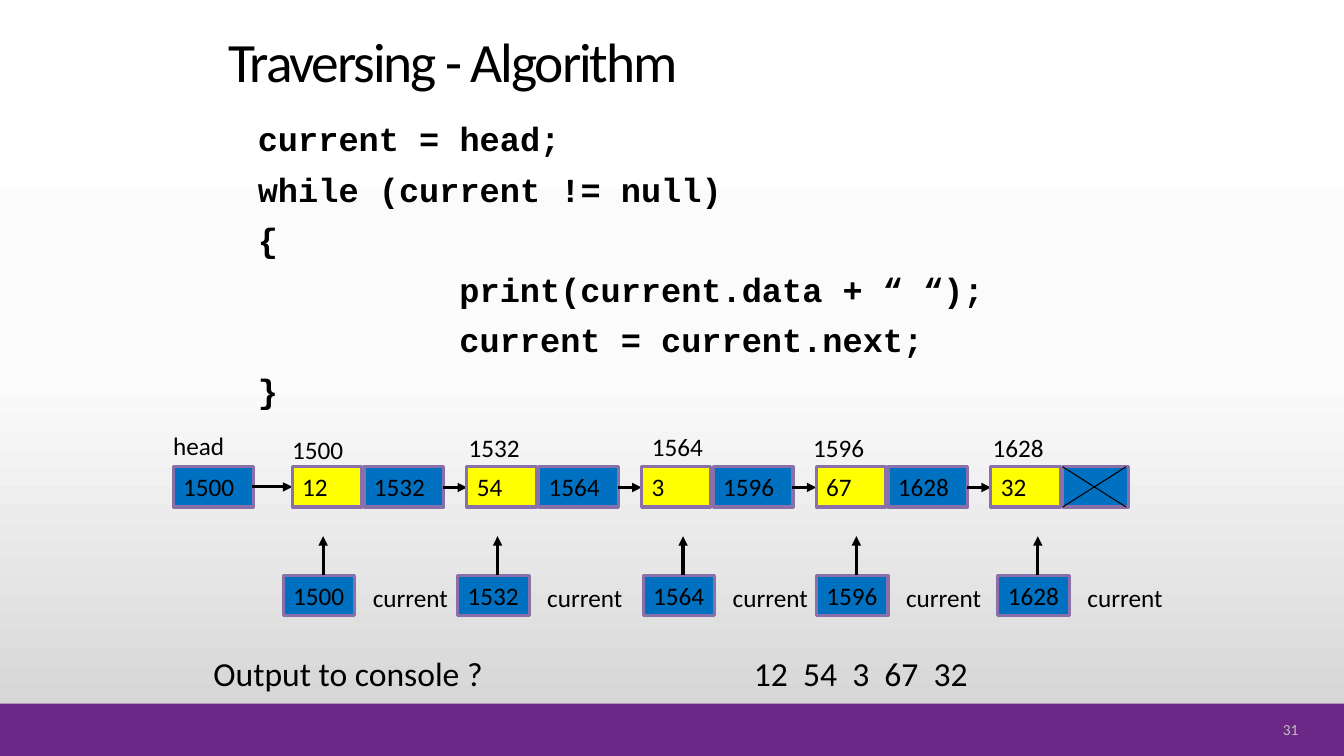
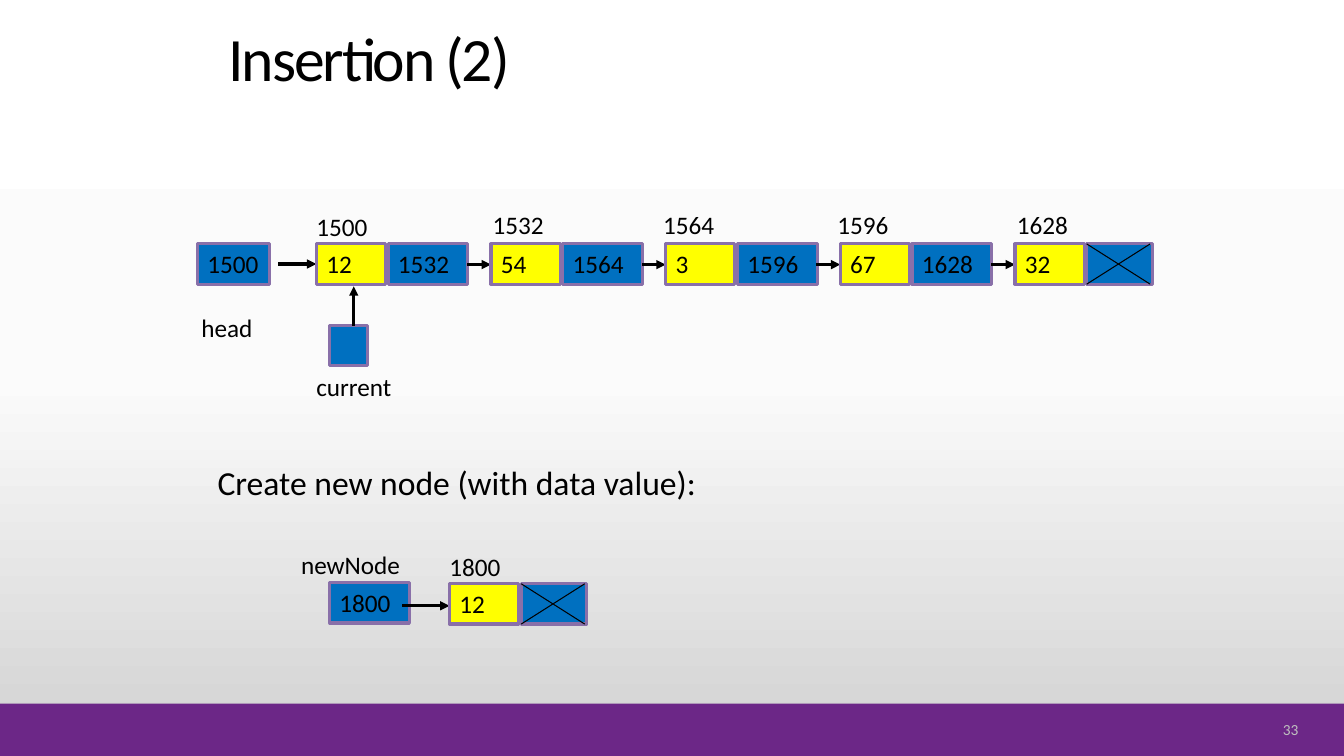
from copy import deepcopy
from dataclasses import dataclass

from lxml.etree import SubElement
from pptx import Presentation
from pptx.dml.color import RGBColor
from pptx.enum.shapes import MSO_CONNECTOR, MSO_SHAPE
from pptx.enum.text import MSO_ANCHOR, PP_ALIGN
from pptx.oxml.ns import qn
from pptx.util import Pt

PAGE_WIDTH, PAGE_HEIGHT = 960, 540
BLACK, GREY, PURPLE = "000000", "BFBFBF", "6C2787"
BLUE, YELLOW, BORDER = "0070C0", "FFFF00", "8970A9"
BACKGROUND_STOPS = ((0, "FFFFFF"), (0.5, "FBFBFB"), (1, "D1D1D1"))

CELL_HEIGHT = 28.8
DATA_WIDTH, LINK_WIDTH, END_WIDTH = 49.5, 57, 46.8
LINK_OFFSET = 51.2
NODE_PITCH = 124.75
ARROW_DROP = 14.8
POINTER_WIDTH = 51.2


@dataclass
class Node:
    address: str
    data: str
    label_left: float
    label_top: float


@dataclass
class Pointer:
    address: str
    left: float


def color(hex_text: str) -> RGBColor:
    return RGBColor.from_string(hex_text)


def write(box, text: str, *, size: float = 18, font: str = "Calibri",
          fill: str = BLACK, bold: bool = False, align=PP_ALIGN.LEFT,
          anchor=MSO_ANCHOR.TOP, spacing: float = 0, word_gap: float = 0,
          line_spacing: float = 1, space_before: float = 0,
          indents: tuple = (), right_inset: float = 0) -> None:
    """Fill a shape with one paragraph per line; word_gap widens its spaces."""
    frame = box.text_frame
    frame.word_wrap = True
    frame.vertical_anchor = anchor
    frame.margin_right = Pt(right_inset)
    for index, line in enumerate(text.split("\n")):
        para = frame.paragraphs[0] if index == 0 else frame.add_paragraph()
        para.alignment = align
        para.line_spacing = line_spacing
        para.space_before = Pt(space_before if index else 0)
        if indents:
            para._p.get_or_add_pPr().set("marL", str(Pt(indents[index])))
        pieces = line.replace(" ", "\n \n").split("\n") if word_gap else [line]
        for piece in pieces:
            span = para.add_run()
            span.text = piece
            span.font.size = Pt(size)
            span.font.name = font
            span.font.bold = bold
            span.font.color.rgb = color(fill)
            tracking = word_gap if piece == " " else spacing
            if tracking:
                span.font._element.set("spc", str(round(tracking * 100)))


def add_text(page, left: float, top: float, width: float, height: float,
             text: str, **style) -> None:
    box = page.shapes.add_textbox(Pt(left), Pt(top), Pt(width), Pt(height))
    write(box, text, **style)


def add_label(page, left: float, top: float, text: str) -> None:
    add_text(page, left, top, 86.4, CELL_HEIGHT, text)


def add_box(page, left: float, top: float, width: float, height: float,
            fill: str, border: str = "", text: str = "") -> None:
    box = page.shapes.add_shape(MSO_SHAPE.RECTANGLE, Pt(left), Pt(top),
                                Pt(width), Pt(height))
    box.shadow.inherit = False
    box.fill.solid()
    box.fill.fore_color.rgb = color(fill)
    if border:
        box.line.color.rgb = color(border)
        box.line.width = Pt(2.25)
    else:
        box.line.fill.background()
    if text:
        write(box, text)


def add_cell(page, left: float, top: float, width: float, text: str = "",
             fill: str = BLUE) -> None:
    add_box(page, left, top, width, CELL_HEIGHT, fill, BORDER, text)


def add_line(page, start: tuple[float, float], end: tuple[float, float],
             width: float = 2.25, arrow: bool = True) -> None:
    line = page.shapes.add_connector(MSO_CONNECTOR.STRAIGHT, Pt(start[0]),
                                     Pt(start[1]), Pt(end[0]), Pt(end[1]))
    line.line.color.rgb = color(BLACK)
    line.line.width = Pt(width)
    if arrow:
        SubElement(line.line._get_or_add_ln(), qn("a:tailEnd"), type="triangle")
    SubElement(line._element.spPr, qn("a:effectLst"))


def add_end_cell(page, left: float, top: float) -> None:
    """Draw the crossed-out link that ends a list."""
    add_cell(page, left, top, END_WIDTH)
    right, bottom = left + 45.4, top + CELL_HEIGHT
    add_line(page, (left, top), (right, bottom), 0.75, arrow=False)
    add_line(page, (right, top), (left, bottom), 0.75, arrow=False)


def add_linked_list(page, left: float, top: float, nodes: list[Node]) -> None:
    for index, node in enumerate(nodes):
        node_left = left + index * NODE_PITCH
        link_left = node_left + LINK_OFFSET
        add_cell(page, node_left, top, DATA_WIDTH, node.data, YELLOW)
        add_label(page, node.label_left, node.label_top, node.address)
        if index + 1 == len(nodes):
            add_end_cell(page, link_left, top)
        else:
            add_cell(page, link_left, top, LINK_WIDTH, nodes[index + 1].address)
            arrow_y = top + ARROW_DROP
            add_line(page, (link_left + LINK_WIDTH - 0.5, arrow_y),
                     (node_left + NODE_PITCH, arrow_y))


def add_pointer(page, pointer: Pointer) -> None:
    """Draw a current box with its upward arrow and its name."""
    top = 411
    arrow_x = pointer.left + 28.5
    add_cell(page, pointer.left, top, POINTER_WIDTH, pointer.address)
    add_line(page, (arrow_x, top), (arrow_x, 383))
    add_label(page, pointer.left + 56.9, 412.6, "current")


def set_background(master) -> None:
    fill = master.background.fill
    fill.gradient()
    fill.gradient_angle = 270
    stop_list = master.element.find(".//" + qn("a:gsLst"))
    stop_list.insert(1, deepcopy(stop_list[0]))
    for stop, (position, hex_text) in zip(fill.gradient_stops, BACKGROUND_STOPS):
        stop.position = position
        stop.color.rgb = color(hex_text)


def add_page(deck, title: str, number: str, title_top: float,
             title_size: float):
    page = deck.slides.add_slide(deck.slide_layouts[6])
    add_box(page, 0, 502.6, PAGE_WIDTH, PAGE_HEIGHT - 502.6, PURPLE)
    add_text(page, 156.2, title_top, 648, 71.3 - title_top, title,
             size=title_size, spacing=-1.5, line_spacing=0.9,
             anchor=MSO_ANCHOR.BOTTOM)
    add_text(page, 880.6, 512.6, 54, 16.6, number, size=11, fill=GREY,
             align=PP_ALIGN.RIGHT, anchor=MSO_ANCHOR.MIDDLE, right_inset=7.2)
    return page


def add_traversing_page(deck) -> None:
    page = add_page(deck, "Traversing - Algorithm", "31", 21.6, 39.6)
    code = ("current = head;\nwhile (current != null)\n{\n"
            "print(current.data + “ “);\ncurrent = current.next;\n}")
    add_text(page, 159.1, 84.2, 648, 219.6, code, size=24, font="Courier New",
             bold=True, line_spacing=0.9, space_before=10,
             indents=(18, 18, 18, 162, 162, 18))

    list_top = 333.4
    add_label(page, 116.6, 303.8, "head")
    add_cell(page, 123.8, list_top, LINK_WIDTH, "1500")
    add_line(page, (180, 347.8), (208.8, 347.8))
    add_linked_list(page, 208.8, list_top, [
        Node("1500", "12", 201.6, 306.7),
        Node("1532", "54", 327.6, 305.3),
        Node("1564", "3", 458.6, 304.6),
        Node("1596", "67", 573.8, 305.3),
        Node("1628", "32", 702, 305.3),
    ])
    for pointer in (Pointer("1500", 202.3), Pointer("1532", 326.9),
                    Pointer("1564", 459.4), Pointer("1596", 583.2),
                    Pointer("1628", 712.8)):
        add_pointer(page, pointer)

    add_text(page, 145.4, 463, 357, 36, "Output to console ?", size=24)
    add_text(page, 531.4, 463, 209.5, 36, "12 54 3 67 32", size=24,
             word_gap=5.4)


def add_insertion_page(deck) -> None:
    page = add_page(deck, "Insertion (2)", "33", 9.4, 44)
    list_top = 174.2
    add_label(page, 136.8, 219.6, "head")
    add_cell(page, 141.1, list_top, POINTER_WIDTH, "1500")
    add_line(page, (198.7, 188.6), (226, 188.6))
    add_linked_list(page, 226, list_top, [
        Node("1500", "12", 218.9, 147.6),
        Node("1532", "54", 344.9, 146.2),
        Node("1564", "3", 466.6, 146.2),
        Node("1596", "67", 591.1, 146.2),
        Node("1628", "32", 719.3, 146.2),
    ])
    add_cell(page, 235.4, 232.6, 27.4)
    add_line(page, (252.7, 232.6), (252.7, 204.5))
    add_label(page, 218.9, 261.4, "current")

    add_text(page, 148.3, 326.2, 444, 36, "Create new node (with data value):",
             size=24)
    add_label(page, 208, 388.8, "newNode")
    add_cell(page, 235.4, 416.2, LINK_WIDTH, "1800")
    add_line(page, (287.3, 432.7), (321.1, 432.7))
    add_linked_list(page, 321.1, 417, [Node("1800", "12", 313.9, 390.2)])


def main() -> None:
    deck = Presentation()
    deck.slide_width, deck.slide_height = Pt(PAGE_WIDTH), Pt(PAGE_HEIGHT)
    set_background(deck.slide_master)
    add_traversing_page(deck)
    add_insertion_page(deck)
    deck.save("out.pptx")


if __name__ == "__main__":
    main()
